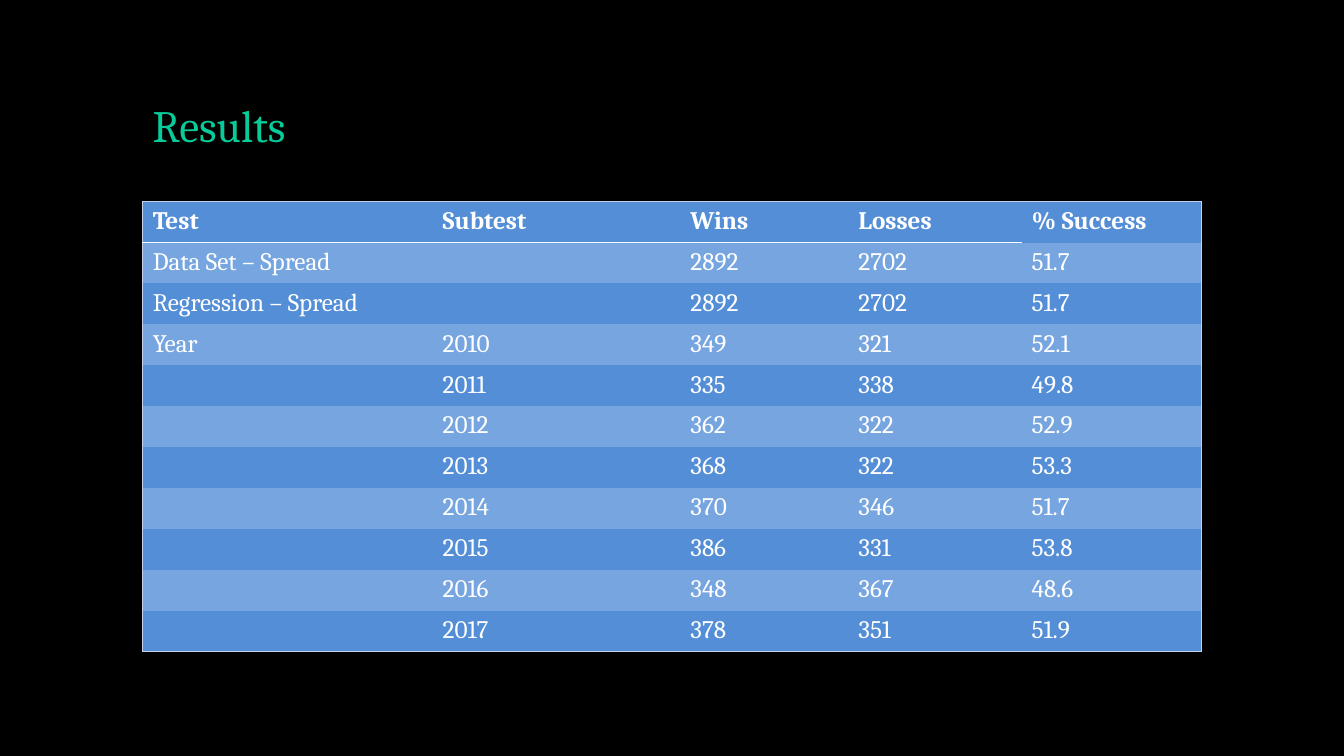
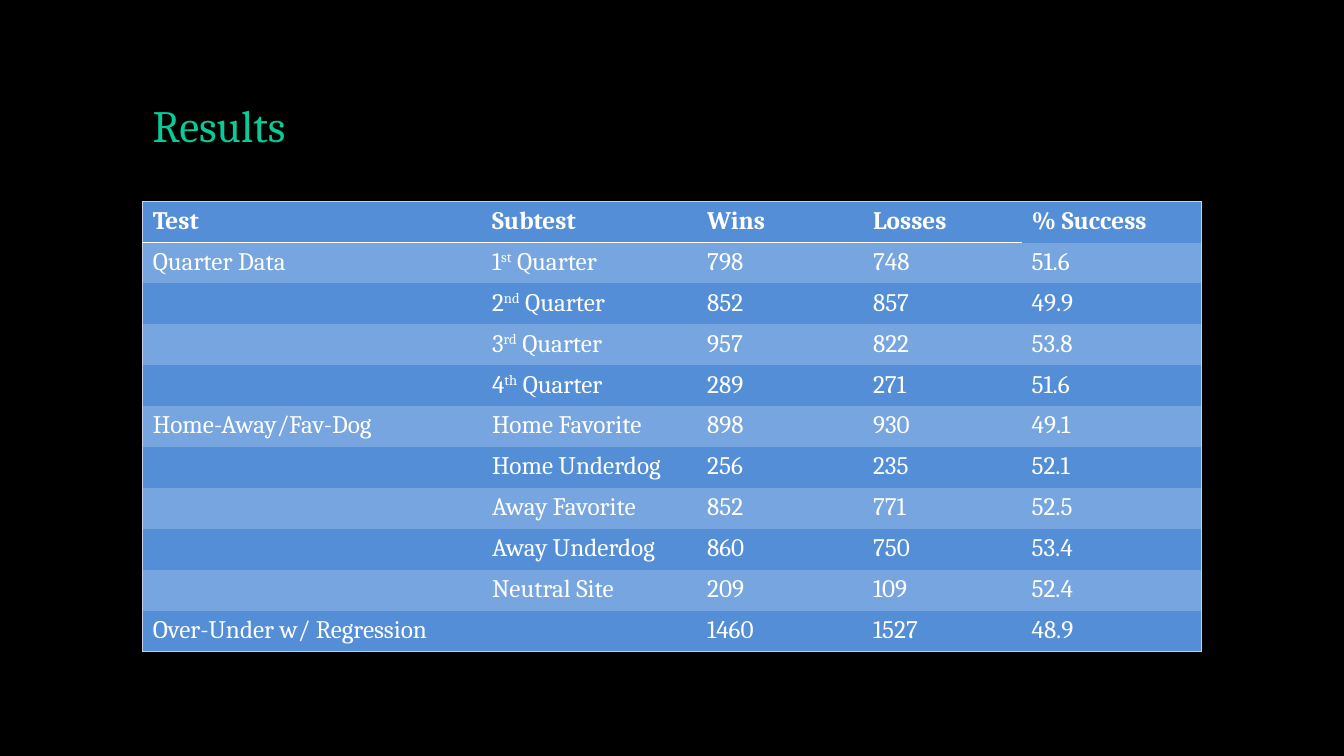
from pptx import Presentation as Deck
from pptx.dml.color import RGBColor as Rgb
from pptx.enum.text import MSO_ANCHOR as Anchor
from pptx.oxml import parse_xml as to_xml
from pptx.oxml.ns import nsdecls, qn
from pptx.util import Pt

PX = 9525
WIDE, HIGH = 1280, 720
FONT = "Cambria"
BLACK, GREEN, WHITE = "000000", "07CB98", "FFFFFF"
BLUE, PALE, EDGE = "548ED7", "76A5DF", "C4D1E9"
PLAIN = "{2D5ABB26-0587-4C30-8999-92F81FD0307C}"

TITLE_BOX = (136, 38, 1008, 112)
GRID_BOX = (136, 192, 1008, 429)
HEAD = ("Test", "Subtest", "Wins", "Losses", "% Success")

TITLE_FONT = {"name": FONT, "size": Pt(32), "bold": False}
HEAD_FONT = {"name": FONT, "size": Pt(18), "bold": True}
BODY_FONT = {"name": FONT, "size": Pt(18), "bold": False}

YEARS = [
    ("Data Set – Spread", "", "2892", "2702", "51.7"),
    ("Regression – Spread", "", "2892", "2702", "51.7"),
    ("Year", "2010", "349", "321", "52.1"),
    ("", "2011", "335", "338", "49.8"),
    ("", "2012", "362", "322", "52.9"),
    ("", "2013", "368", "322", "53.3"),
    ("", "2014", "370", "346", "51.7"),
    ("", "2015", "386", "331", "53.8"),
    ("", "2016", "348", "367", "48.6"),
    ("", "2017", "378", "351", "51.9"),
]
SPLITS = [
    ("Quarter Data", "1^st^ Quarter", "798", "748", "51.6"),
    ("", "2^nd^ Quarter", "852", "857", "49.9"),
    ("", "3^rd^ Quarter", "957", "822", "53.8"),
    ("", "4^th^ Quarter", "289", "271", "51.6"),
    ("Home-Away/Fav-Dog", "Home Favorite", "898", "930", "49.1"),
    ("", "Home Underdog", "256", "235", "52.1"),
    ("", "Away Favorite", "852", "771", "52.5"),
    ("", "Away Underdog", "860", "750", "53.4"),
    ("", "Neutral Site", "209", "109", "52.4"),
    ("Over-Under w/ Regression", "", "1460", "1527", "48.9"),
]
SLIDES = [
    ("Results", (276, 236, 160, 165, 171), YEARS),
    ("Results", (323, 205, 158, 151, 171), SPLITS),
]


def px(*nums):
    return [n * PX for n in nums]


def paint(fill, tone):
    fill.solid()
    fill.fore_color.rgb = Rgb.from_string(tone)


def write(para, text, style, tone):
    for i, part in enumerate(text.split("^")):
        if not part:
            continue
        run = para.add_run()
        run.text = part
        for key, val in style.items():
            setattr(run.font, key, val)
        run.font.color.rgb = Rgb.from_string(tone)
        if i % 2:
            run.font._element.set("baseline", "30000")


def add_title(slide, box, text):
    frame = slide.shapes.add_textbox(*px(*box)).text_frame
    for key, val in {"word_wrap": True, "vertical_anchor": Anchor.BOTTOM}.items():
        setattr(frame, key, val)
    para = frame.paragraphs[0]
    para.line_spacing = 0.9
    write(para, text, TITLE_FONT, GREEN)


def add_edge(cell, side, tone, width):
    cell._tc.get_or_add_tcPr().append(to_xml(
        f'<a:ln{side} {nsdecls("a")} w="{Pt(width)}"><a:solidFill>'
        f'<a:srgbClr val="{tone}"/></a:solidFill></a:ln{side}>'))


def frame_cell(cell, row, col, last_row, last_col):
    if col == 0:
        add_edge(cell, "L", EDGE, 0.5)
    if col == last_col:
        add_edge(cell, "R", EDGE, 0.5)
    if row == 0:
        add_edge(cell, "T", EDGE, 0.5)
        if col < last_col:
            add_edge(cell, "B", WHITE, 1.5)
    if row == last_row:
        add_edge(cell, "B", EDGE, 0.5)


def add_grid(slide, box, cols, body):
    rows = [HEAD, *body]
    grid = slide.shapes.add_table(len(rows), len(cols), *px(*box)).table
    grid.horz_banding = False
    grid._tbl.tblPr.find(qn("a:tableStyleId")).text = PLAIN
    for col, width in zip(grid.columns, px(*cols)):
        col.width = width
    for r, row in enumerate(rows):
        for c, text in enumerate(row):
            cell = grid.cell(r, c)
            frame_cell(cell, r, c, len(rows) - 1, len(cols) - 1)
            paint(cell.fill, PALE if r % 2 else BLUE)
            style = BODY_FONT if r else HEAD_FONT
            write(cell.text_frame.paragraphs[0], text, style, WHITE)


def add_slide(deck, title, cols, body):
    slide = deck.slides.add_slide(deck.slide_layouts[6])
    paint(slide.background.fill, BLACK)
    add_title(slide, TITLE_BOX, title)
    add_grid(slide, GRID_BOX, cols, body)


def main():
    deck = Deck()
    deck.slide_width, deck.slide_height = px(WIDE, HIGH)
    for title, cols, body in SLIDES:
        add_slide(deck, title, cols, body)
    deck.save("out.pptx")


if __name__ == "__main__":
    main()
